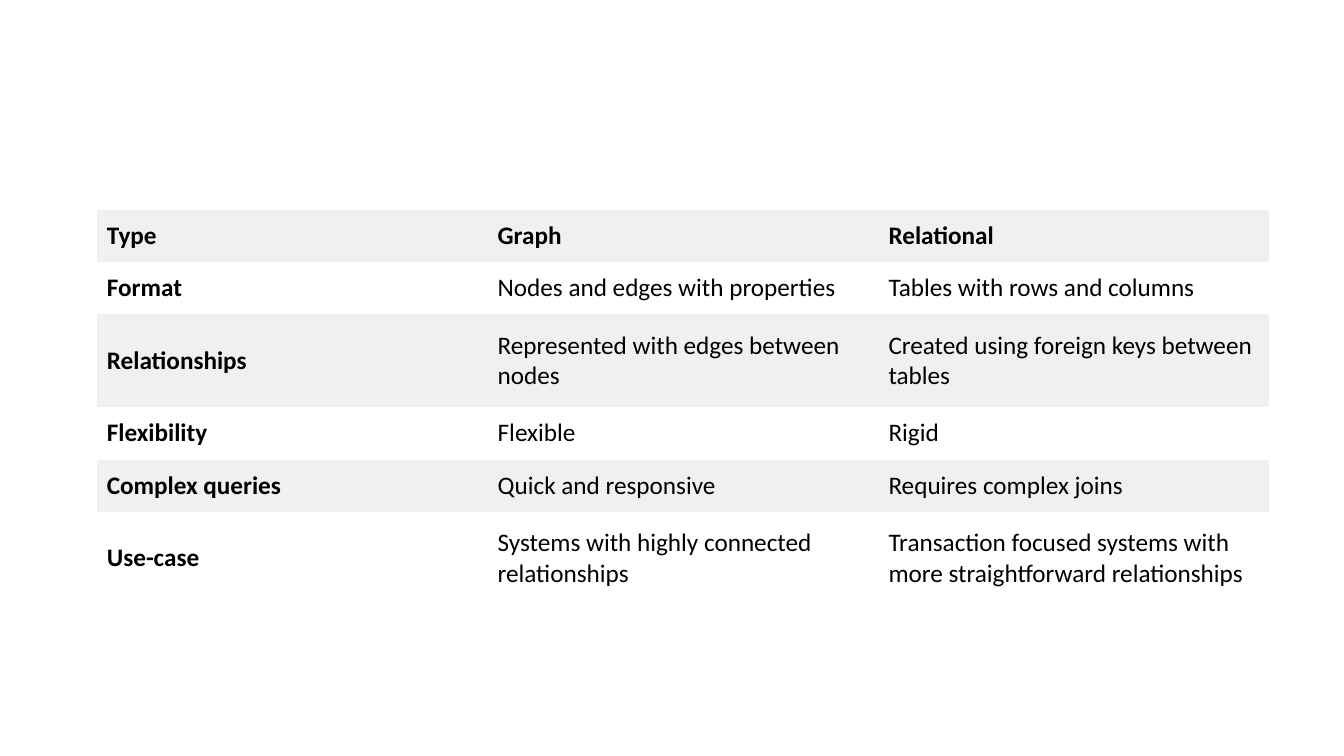
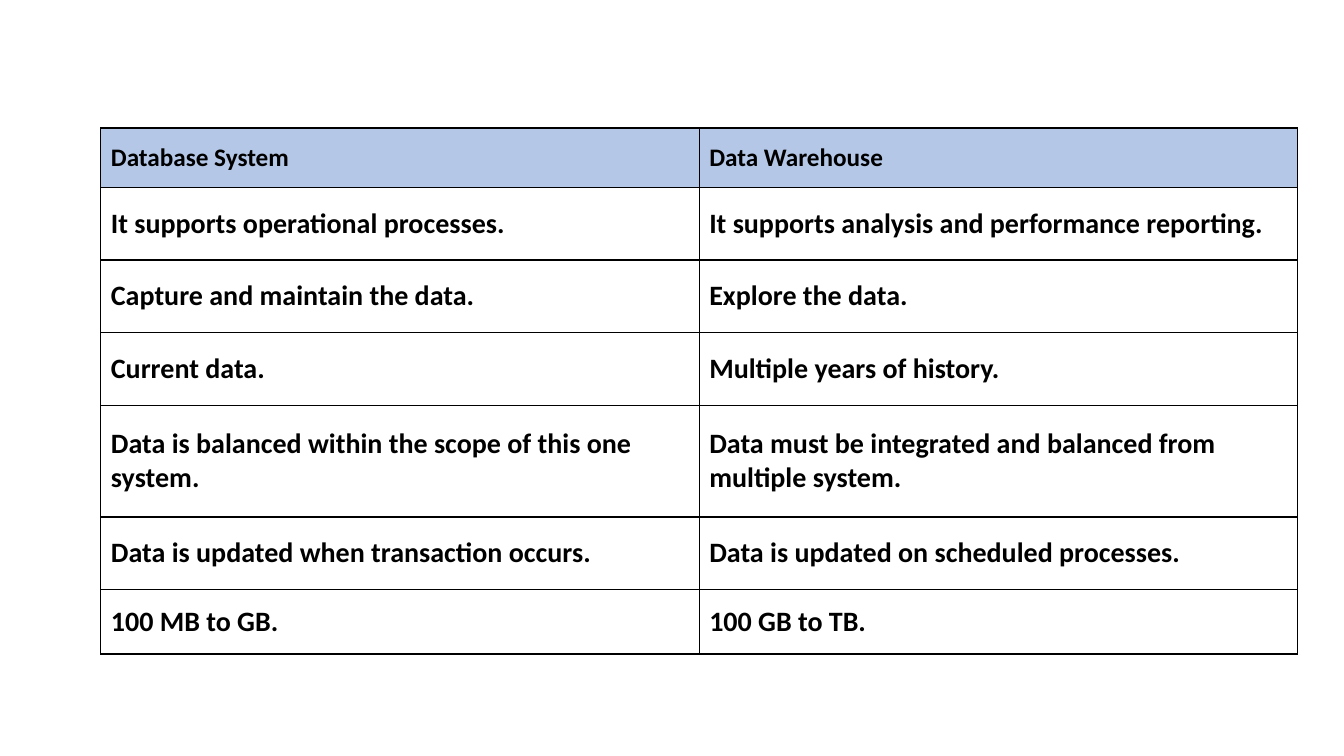
import pptx
import pptx.util
import pptx.dml.color
import pptx.enum.text
import pptx.oxml
import pptx.oxml.ns

Inches = pptx.util.Inches
Pt = pptx.util.Pt
RGB = pptx.dml.color.RGBColor

BLACK = RGB(0x00, 0x00, 0x00)
GREY = RGB(0xF0, 0xF0, 0xF0)
BLUE = RGB(0xB4, 0xC7, 0xE7)
FONT = "Calibri"
PLAIN = "{2D5ABB26-0587-4C30-8999-92F81FD0307C}"

GRAPH = [
    ("Type", "Graph", "Relational"),
    ("Format", "Nodes and edges with properties", "Tables with rows and columns"),
    ("Relationships", "Represented with edges between nodes",
     "Created using foreign keys between tables"),
    ("Flexibility", "Flexible", "Rigid"),
    ("Complex queries", "Quick and responsive", "Requires complex joins"),
    ("Use-case", "Systems with highly connected relationships",
     "Transaction focused systems with more straightforward relationships"),
]
STORE = [
    ("Database System", "Data Warehouse"),
    ("It supports operational processes.",
     "It supports analysis and performance reporting."),
    ("Capture and maintain the data.", "Explore the data."),
    ("Current data.", "Multiple years of history."),
    ("Data is balanced within the scope of this one system.",
     "Data must be integrated and balanced from multiple system."),
    ("Data is updated when transaction occurs.",
     "Data is updated on scheduled processes."),
    ("100 MB to GB.", "100 GB to TB."),
]


def graph_look(row, col):
    return {"size": 18, "bold": row == 0 or col == 0, "pad": 0.05,
            "fill": GREY if row % 2 == 0 else None, "grid": False}


def store_look(row, col):
    head = row == 0
    return {"size": 18 if head else 20, "bold": True, "pad": 0.1 if head else 0.15,
            "fill": BLUE if head else None, "grid": True}


TABLES = [
    {"rows": GRAPH, "left": 0.96, "top": 2.08, "width": 11.63,
     "tall": [0.52, 0.52, 0.92, 0.52, 0.52, 0.92], "look": graph_look},
    {"rows": STORE, "left": 1, "top": 1.27, "width": 11.87,
     "tall": [0.59, 0.72, 0.72, 0.72, 1.11, 0.72, 0.63], "look": store_look},
]


def add_grid(cell):
    props = cell._tc.get_or_add_tcPr()
    for side in ("lnL", "lnR", "lnT", "lnB"):
        props.append(pptx.oxml.parse_xml(
            f'<a:{side} {pptx.oxml.ns.nsdecls("a")} w="{Pt(1)}">'
            f'<a:solidFill><a:srgbClr val="{BLACK}"/></a:solidFill></a:{side}>'))


def fill_cell(cell, text, size, bold, pad, fill, grid):
    cell.text = text
    cell.vertical_anchor = pptx.enum.text.MSO_ANCHOR.MIDDLE
    cell.margin_left = cell.margin_right = Inches(0.1)
    cell.margin_top = cell.margin_bottom = Inches(pad)
    if grid:
        add_grid(cell)
    if fill is None:
        cell.fill.background()
    else:
        cell.fill.solid()
        cell.fill.fore_color.rgb = fill
    font = cell.text_frame.paragraphs[0].font
    font.name, font.size, font.bold = FONT, Pt(size), bold
    font.color.rgb = BLACK


def add_table(slide, rows, left, top, width, tall, look):
    count = len(rows[0])
    table = slide.shapes.add_table(
        len(rows), count, Inches(left), Inches(top),
        Inches(width), Inches(sum(tall))).table
    table.first_row = table.horz_banding = False
    table._tbl.tblPr.find(pptx.oxml.ns.qn("a:tableStyleId")).text = PLAIN
    for col in table.columns:
        col.width = Inches(width / count)
    for r, texts in enumerate(rows):
        table.rows[r].height = Inches(tall[r])
        for c, text in enumerate(texts):
            fill_cell(table.cell(r, c), text, **look(r, c))


def main():
    deck = pptx.Presentation()
    deck.slide_width, deck.slide_height = Inches(13.33), Inches(7.5)
    for data in TABLES:
        add_table(deck.slides.add_slide(deck.slide_layouts[6]), **data)
    deck.save("out.pptx")


if __name__ == "__main__":
    main()
